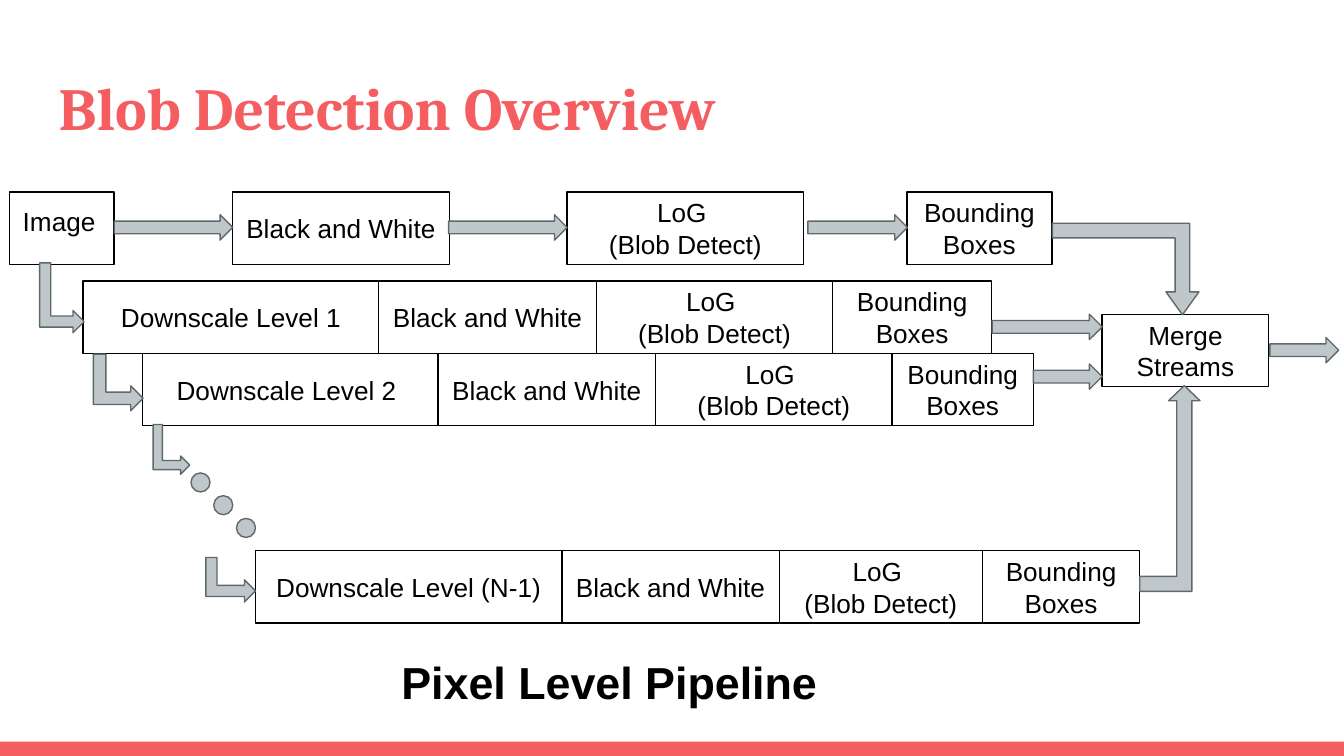
from pptx import Presentation
from pptx.dml.color import RGBColor
from pptx.enum.shapes import MSO_SHAPE
from pptx.enum.text import MSO_ANCHOR, PP_ALIGN
from pptx.util import Cm, Pt

COLORS = {"accent": "F55E61", "ink": "000000", "arrow": "BFC7CA", "edge": "5E696C"}
TITLE = "Blob Detection Overview"
CAPTION = "Pixel Level Pipeline"
BW, LOG, BOXES = "Black and White", "LoG \n(Blob Detect)", "Bounding Boxes"
BOX_H, ARROW_H = 1.37, 0.48
TOP_ROW, LANE_1 = 3.63, 5.31

SINGLE_BOXES = [
    (BW, 4.39, TOP_ROW, 4.11),
    (LOG, 10.72, TOP_ROW, 4.47),
    (BOXES, 17.14, TOP_ROW, 2.74),
    ("Merge Streams", 20.83, 5.94, 3.15),
]
LANES = [
    (1.57, LANE_1, "Downscale Level 1", (5.59, 4.11, 4.47, 3.0)),
    (2.69, LANE_1 + BOX_H, "Downscale Level 2 ", (5.59, 4.11, 4.47, 2.67)),
    (4.83, 10.41, "Downscale Level (N-1)", (5.79, 4.11, 3.84, 2.97)),
]
STRAIGHT_ARROWS = [
    (2.16, 4.06, 2.24), (8.48, 4.06, 2.24), (15.27, 4.06, 1.88),
    (18.75, 5.94, 2.08), (19.53, 6.88, 1.3), (24.0, 6.38, 1.3),
]
QUARTERS = (0.25, 0.25, 0.25)
BENT_ARROWS = [
    ((0.51, 5.21, 1.32, 0.84), 90, QUARTERS),
    ((1.7, 6.76, 1.07, 0.94), 90, QUARTERS),
    ((2.77, 8.15, 0.94, 0.69), 90, QUARTERS),
    ((3.94, 10.49, 0.84, 0.94), 90, QUARTERS),
    ((21.54, 7.29, 1.14, 3.89), 0, (0.25, 0.26, 0.25)),
    ((19.89, 4.22, 2.77, 1.73), 180, (0.16, 0.18, 0.25)),
]
DOT_START, DOT_STEP, DOT_SIZE = (3.61, 8.94), 0.43, 0.36


def rgb(name):
    return RGBColor.from_string(COLORS[name])


def write(sp, text, size, anchor=MSO_ANCHOR.MIDDLE, align=PP_ALIGN.CENTER,
          name="Arial", color="ink", bold=False):
    tf = sp.text_frame
    frame = {"word_wrap": True, "vertical_anchor": anchor}
    frame.update({f"margin_{side}": Cm(0.25) for side in ("left", "right", "top", "bottom")})
    for key, value in frame.items():
        setattr(tf, key, value)
    tf.text = text
    for p in tf.paragraphs:
        p.alignment = align
        for r in p.runs:
            for key, value in {"size": Pt(size), "name": name, "bold": bold}.items():
                setattr(r.font, key, value)
            r.font.color.rgb = rgb(color)


def add_shape(kind, place, fill=None, line=None):
    sp = s.shapes.add_shape(kind, *map(Cm, place))
    sp.shadow.inherit = False
    if fill:
        sp.fill.solid()
        sp.fill.fore_color.rgb = rgb(fill)
    else:
        sp.fill.background()
    if line:
        sp.line.color.rgb = rgb(line)
        sp.line.width = Pt(0.75)
    else:
        sp.line.fill.background()
    return sp


def add_box(text, x, y, w, **fmt):
    write(add_shape(MSO_SHAPE.RECTANGLE, (x, y, w, BOX_H), line="ink"), text, 14, **fmt)


prs = Presentation()
prs.slide_width, prs.slide_height = Cm(25.4), Cm(14.29)
s = prs.slides.add_slide(prs.slide_layouts[5])

title = s.shapes.title
for key, value in zip(("left", "top", "width", "height"), (0.86, 1.09, 23.67, 1.73)):
    setattr(title, key, Cm(value))
write(title, TITLE, 32, MSO_ANCHOR.TOP, PP_ALIGN.LEFT, "Cambria", "accent", True)
add_shape(MSO_SHAPE.RECTANGLE, (0, 14.02, 25.4, 0.27), fill="accent")

add_box("Image", 0.18, TOP_ROW, 1.98, anchor=MSO_ANCHOR.TOP, align=PP_ALIGN.LEFT)
for box in SINGLE_BOXES:
    add_box(*box)
for x, y, first, widths in LANES:
    for text, w in zip((first, BW, LOG, BOXES), widths):
        add_box(text, x, y, w)
        x += w

for x, y, w in STRAIGHT_ARROWS:
    add_shape(MSO_SHAPE.RIGHT_ARROW, (x, y, w, ARROW_H), "arrow", "edge")
for place, turn, adjustments in BENT_ARROWS:
    sp = add_shape(MSO_SHAPE.BENT_UP_ARROW, place, "arrow", "edge")
    sp.rotation = turn
    for i, value in enumerate(adjustments):
        sp.adjustments[i] = value
    if turn == 180:
        sp._element.spPr.xfrm.set("flipH", "1")
for i in range(3):
    x, y = (start + i * DOT_STEP for start in DOT_START)
    add_shape(MSO_SHAPE.FLOWCHART_CONNECTOR, (x, y, DOT_SIZE, DOT_SIZE), "arrow", "edge")

caption = s.shapes.add_textbox(*map(Cm, (6.17, 12.34, 10.69, 1.07)))
write(caption, CAPTION, 24, bold=True)

prs.save("out.pptx")
